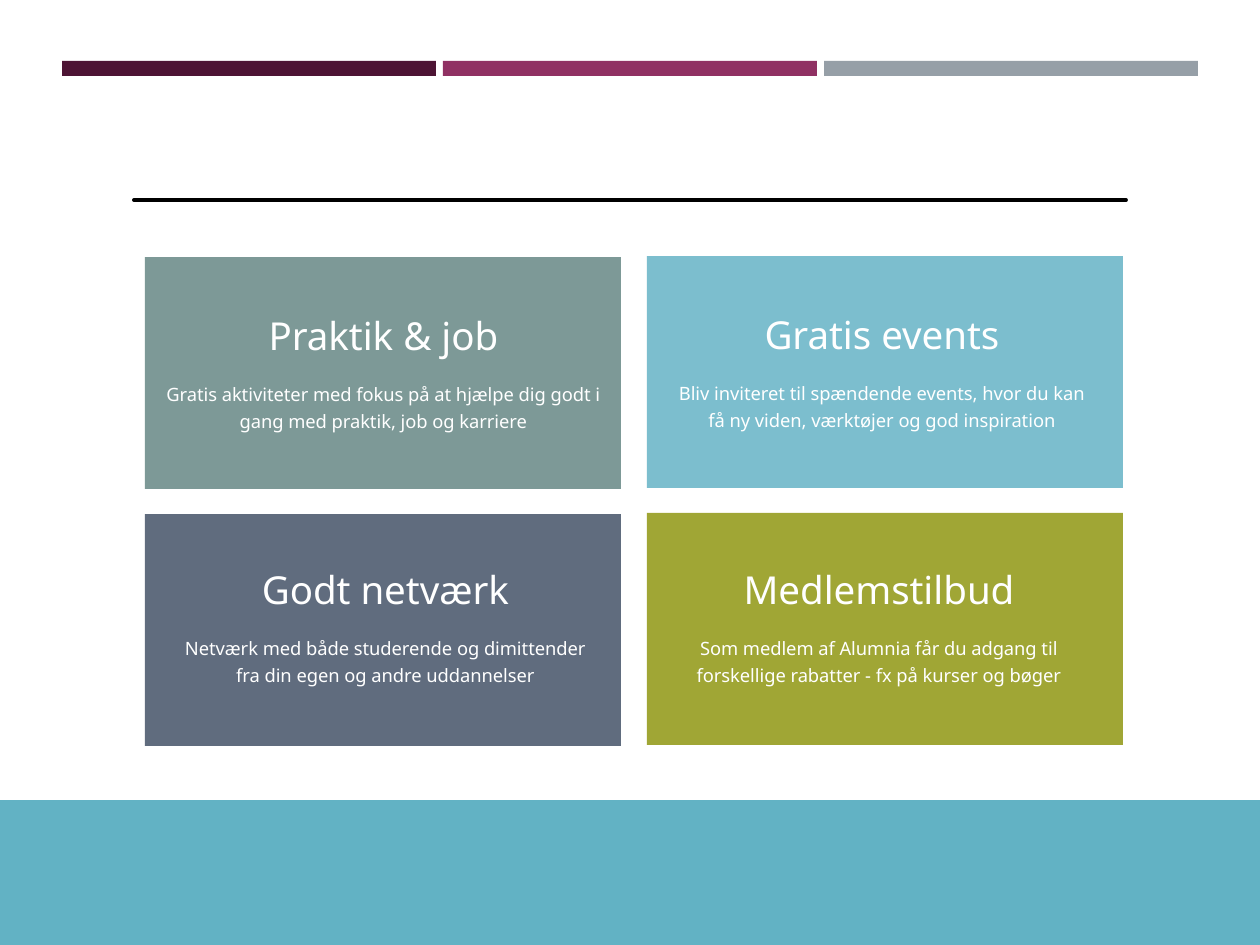
from dataclasses import dataclass

from lxml.etree import SubElement
from pptx import Presentation
from pptx.dml.color import RGBColor
from pptx.enum.shapes import MSO_CONNECTOR, MSO_SHAPE
from pptx.enum.text import MSO_AUTO_SIZE, PP_ALIGN
from pptx.oxml.ns import qn
from pptx.slide import Slide
from pptx.util import Emu, Pt

PX_PER_INCH = 126
PAGE_WIDTH, PAGE_HEIGHT = 1260, 945
FONT = "Noto Sans"
COLORS = {
    "plum": "4D1434",
    "magenta": "903163",
    "grey": "969FA7",
    "band": "62B2C4",
    "sage": "7D9997",
    "slate": "606C7E",
    "sky": "7CBECE",
    "olive": "A0A635",
    "rule": "000000",
    "text": "FFFFFF",
}


@dataclass
class Card:
    left: int
    top: int
    color: str
    text_left: int
    text_top: int
    text_width: int
    heading: str
    body: str


CARDS = [
    Card(145, 257, "sage", 149, 306, 469, "Praktik & job",
         "Gratis aktiviteter med fokus på at hjælpe dig godt i gang "
         "med praktik, job og karriere"),
    Card(145, 514, "slate", 151, 560, 469, "Godt netværk",
         "Netværk med både studerende og dimittender\v"
         "fra din egen og andre uddannelser"),
    Card(647, 256, "sky", 659, 305, 446, "Gratis events",
         "Bliv inviteret til spændende events, hvor du kan "
         "få ny viden, værktøjer og god inspiration"),
    Card(647, 513, "olive", 656, 560, 446, "Medlemstilbud",
         "Som medlem af Alumnia får du adgang til "
         "forskellige rabatter - fx på kurser og bøger"),
]
CARD_WIDTH, CARD_HEIGHT, TEXT_HEIGHT = 476, 232, 131


def px(length: int) -> Emu:
    return Emu(round(length * 914400 / PX_PER_INCH))


def rgb(name: str) -> RGBColor:
    return RGBColor.from_string(COLORS[name])


def add_block(page: Slide, left: int, top: int, width: int, height: int,
              color: str) -> None:
    block = page.shapes.add_shape(
        MSO_SHAPE.RECTANGLE, px(left), px(top), px(width), px(height))
    block.shadow.inherit = False
    block.fill.solid()
    block.fill.fore_color.rgb = rgb(color)
    block.line.fill.background()


def add_rule(page: Slide, left: int, right: int, top: int) -> None:
    rule = page.shapes.add_connector(
        MSO_CONNECTOR.STRAIGHT, px(left), px(top), px(right), px(top))
    rule.line.color.rgb = rgb("rule")
    rule.line.width = Pt(2.25)
    rule.line._get_or_add_ln().set("cap", "rnd")
    SubElement(rule._element.spPr, qn("a:effectLst"))


def add_card_text(page: Slide, card: Card) -> None:
    box = page.shapes.add_textbox(
        px(card.text_left), px(card.text_top),
        px(card.text_width), px(TEXT_HEIGHT))
    frame = box.text_frame
    frame.word_wrap = True
    frame.auto_size = MSO_AUTO_SIZE.SHAPE_TO_FIT_TEXT

    heading, body = frame.paragraphs[0], frame.add_paragraph()
    for para, text, size, space_after in (
            (heading, card.heading, 22, 12), (body, card.body, 10.5, 6)):
        para.text = text
        para.alignment = PP_ALIGN.CENTER
        para.space_after = Pt(space_after)
        para.font.name = FONT
        para.font.size = Pt(size)
        para.font.color.rgb = rgb("text")
    body.line_spacing = Pt(15)


def main() -> None:
    deck = Presentation()
    deck.slide_width, deck.slide_height = px(PAGE_WIDTH), px(PAGE_HEIGHT)
    page = deck.slides.add_slide(deck.slide_layouts[6])

    for column, color in enumerate(("plum", "magenta", "grey")):
        add_block(page, 62 + 381 * column, 61, 374, 15, color)
    add_block(page, 0, 800, PAGE_WIDTH, PAGE_HEIGHT - 800, "band")
    add_rule(page, 134, 1126, 200)

    for card in CARDS:
        add_block(page, card.left, card.top, CARD_WIDTH, CARD_HEIGHT, card.color)
        add_card_text(page, card)

    deck.save("out.pptx")


if __name__ == "__main__":
    main()
